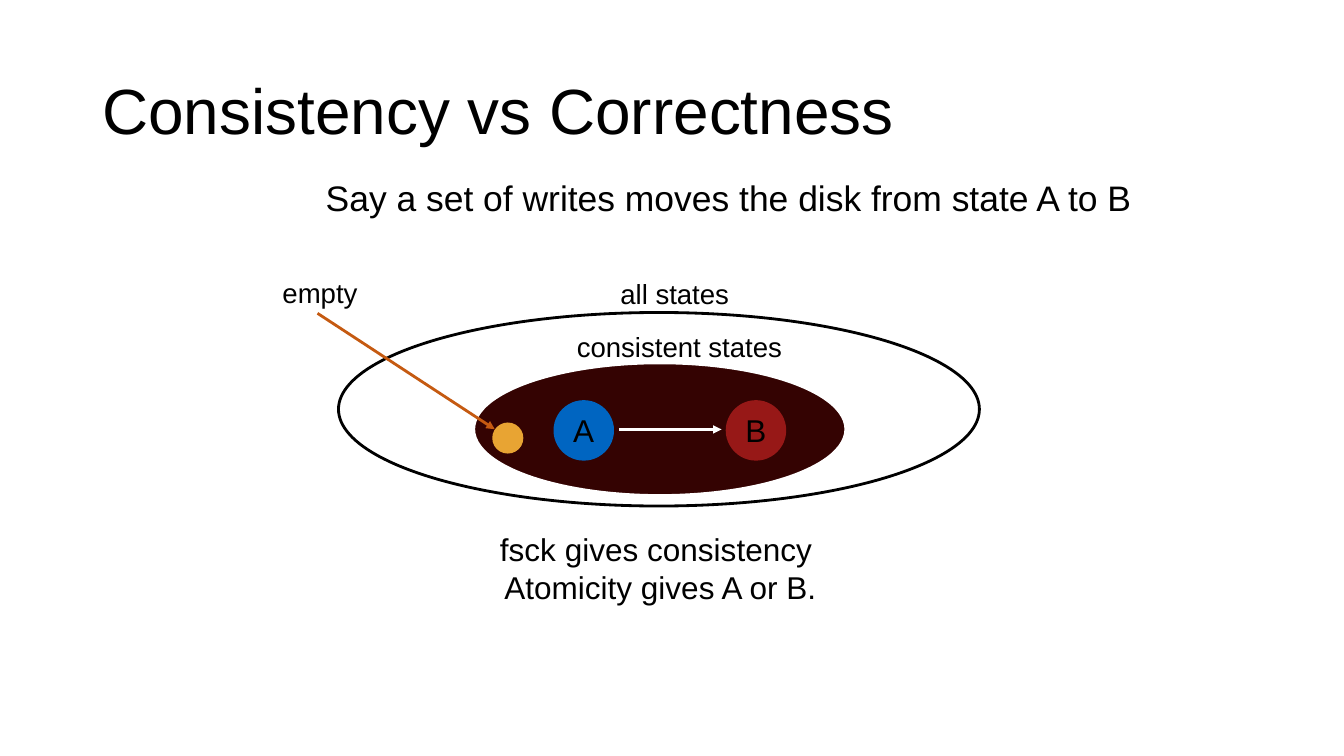
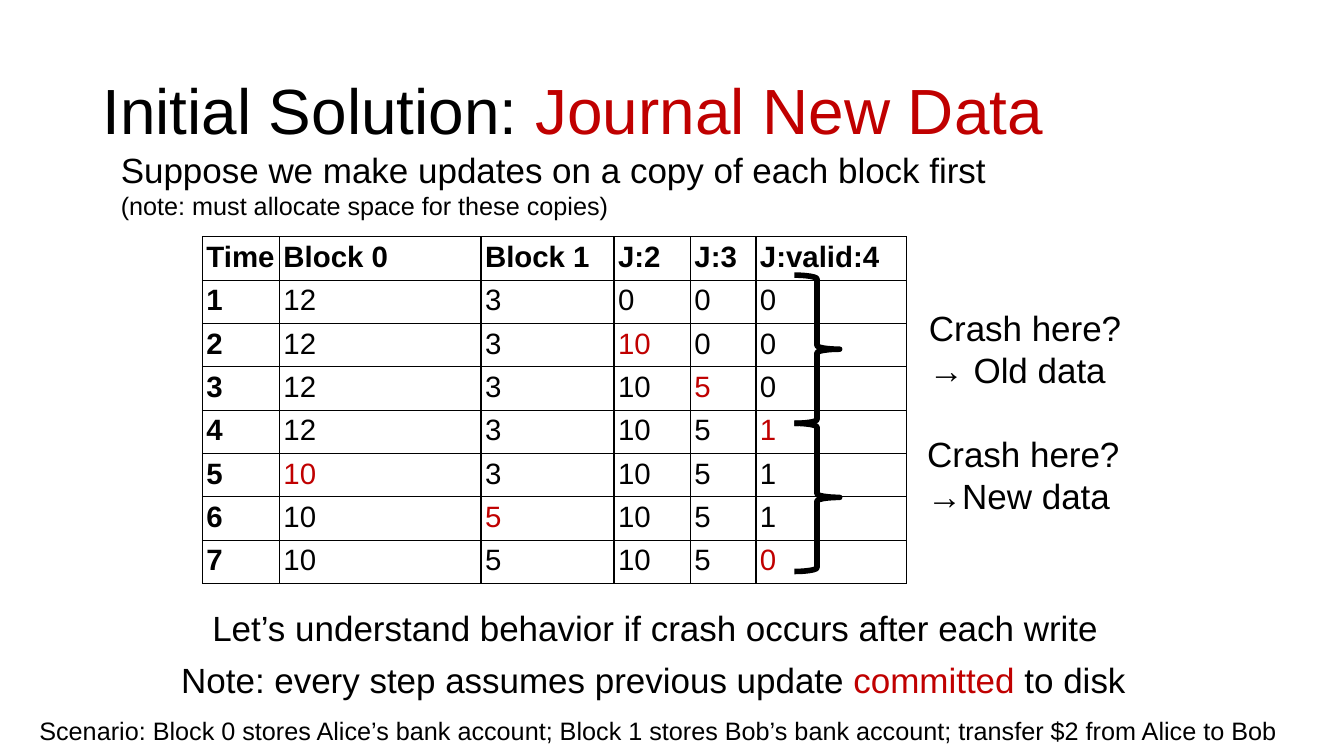
from dataclasses import dataclass
from typing import Optional

from lxml.etree import SubElement
from pptx import Presentation
from pptx.dml.color import RGBColor
from pptx.enum.shapes import MSO_CONNECTOR, MSO_SHAPE
from pptx.enum.text import MSO_ANCHOR, PP_ALIGN
from pptx.oxml.ns import qn
from pptx.util import Inches, Length, Pt

SLIDE_WIDTH, SLIDE_HEIGHT = Inches(13.33), Inches(7.5)
COLUMNS, ROWS = 160, 90
FONT = "Arial"
BLACK, WHITE, RED = "000000", "FFFFFF", "C00000"
MAROON, BLUE, BRICK, AMBER, ORANGE = "340302", "0065C1", "971817", "E8A433", "C55A11"
WIDE, NARROW = 0.1, 0.04


@dataclass(frozen=True)
class Box:
    column: float
    row: float
    columns: float
    rows: float

    def place(self) -> tuple[Length, Length, Length, Length]:
        return across(self.column), down(self.row), across(self.columns), down(self.rows)


@dataclass(frozen=True)
class Phrase:
    text: str
    color: Optional[str] = None


@dataclass(frozen=True)
class Line:
    phrases: tuple[Phrase, ...]
    size: float


@dataclass(frozen=True)
class Text:
    box: Box
    lines: tuple[Line, ...]
    align: PP_ALIGN = PP_ALIGN.LEFT
    anchor: MSO_ANCHOR = MSO_ANCHOR.TOP
    inset: float = WIDE
    wrap: bool = True
    spacing: float = 1.0


@dataclass(frozen=True)
class Figure:
    kind: MSO_SHAPE
    box: Box
    fill: Optional[str] = None
    line: Optional[str] = None
    weight: float = 2
    label: str = ""


@dataclass(frozen=True)
class Arrow:
    start: tuple[float, float]
    end: tuple[float, float]
    color: str


def across(columns: float) -> Length:
    return Length(round(SLIDE_WIDTH * columns / COLUMNS))


def down(rows: float) -> Length:
    return Length(round(SLIDE_HEIGHT * rows / ROWS))


def color_of(value: str) -> RGBColor:
    return RGBColor.from_string(value)


def line_of(text: str, size: float) -> Line:
    return Line((Phrase(text),), size)


def style_font(font, size: float, color: str = BLACK, bold: bool = False) -> None:
    font.name = FONT
    font.size = Pt(size)
    font.bold = bold
    font.color.rgb = color_of(color)


def set_insets(target, inset: float) -> None:
    target.margin_left = target.margin_right = Inches(inset)
    target.margin_top = target.margin_bottom = Inches(inset if inset < WIDE else 0.05)


def write_lines(frame, lines: tuple[Line, ...], align: PP_ALIGN, spacing: float = 1.0) -> None:
    for index, line in enumerate(lines):
        paragraph = frame.add_paragraph() if index else frame.paragraphs[0]
        paragraph.alignment = align
        paragraph.line_spacing = spacing
        style_font(paragraph.font, line.size)
        for phrase in line.phrases:
            run = paragraph.add_run()
            run.text = phrase.text
            if phrase.color:
                run.font.color.rgb = color_of(phrase.color)


def draw_text(slide, text: Text) -> None:
    frame = slide.shapes.add_textbox(*text.box.place()).text_frame
    frame.word_wrap = text.wrap
    frame.vertical_anchor = text.anchor
    set_insets(frame, text.inset)
    write_lines(frame, text.lines, text.align, text.spacing)


def draw_title(slide, *phrases: Phrase) -> None:
    draw_text(slide, Text(Box(11, 4.8, 138, 17.4), (Line(phrases, 45.6),),
                          anchor=MSO_ANCHOR.MIDDLE, spacing=0.9))


def draw_figure(slide, figure: Figure) -> None:
    shape = slide.shapes.add_shape(figure.kind, *figure.box.place())
    shape.shadow.inherit = False
    if figure.fill:
        shape.fill.solid()
        shape.fill.fore_color.rgb = color_of(figure.fill)
    else:
        shape.fill.background()
    if figure.line:
        shape.line.color.rgb = color_of(figure.line)
        shape.line.width = Pt(figure.weight)
    else:
        shape.line.fill.background()
    if figure.label:
        frame = shape.text_frame
        set_insets(frame, 0)
        frame.vertical_anchor = MSO_ANCHOR.MIDDLE
        write_lines(frame, (line_of(figure.label, 22.5),), PP_ALIGN.CENTER)


def draw_arrow(slide, arrow: Arrow) -> None:
    (column, row), (end_column, end_row) = arrow.start, arrow.end
    connector = slide.shapes.add_connector(
        MSO_CONNECTOR.STRAIGHT, across(column), down(row), across(end_column), down(end_row))
    connector.line.color.rgb = color_of(arrow.color)
    connector.line.width = Pt(2)
    properties = connector._element.spPr
    SubElement(properties.find(qn("a:ln")), qn("a:tailEnd"), type="triangle")
    SubElement(properties, qn("a:effectLst"))


def border_cell(cell) -> None:
    properties = cell._tc.get_or_add_tcPr()
    for position, side in enumerate(("a:lnL", "a:lnR", "a:lnT", "a:lnB")):
        border = SubElement(properties, qn(side), w=str(int(Pt(1))))
        SubElement(SubElement(border, qn("a:solidFill")), qn("a:srgbClr"), val=BLACK)
        properties.insert(position, border)


def draw_journal_table(slide) -> None:
    header = ("Time", "Block 0", "Block 1", "J:2", "J:3", "J:valid:4")
    steps = ((12, 3, 0, 0, 0), (12, 3, 10, 0, 0), (12, 3, 10, 5, 0), (12, 3, 10, 5, 1),
             (10, 3, 10, 5, 1), (10, 5, 10, 5, 1), (10, 5, 10, 5, 0))
    records = (header, *((time, *step) for time, step in enumerate(steps, 1)))
    widths = (9.17, 24, 15.84, 9.1, 7.8, 17.9)
    row_height = 5.16
    box = Box(24.1, 28.2, sum(widths), row_height * len(records))
    table = slide.shapes.add_table(len(records), len(header), *box.place()).table
    table.first_row = table.horz_banding = False
    for column, width in zip(table.columns, widths):
        column.width = across(width)
    for row_index, record in enumerate(records):
        table.rows[row_index].height = down(row_height)
        for column_index, value in enumerate(record):
            cell = table.cell(row_index, column_index)
            cell.fill.background()
            border_cell(cell)
            set_insets(cell, NARROW)
            heading = row_index == 0 or column_index == 0
            changed = (not heading and row_index > 1
                       and value != records[row_index - 1][column_index])
            paragraph = cell.text_frame.paragraphs[0]
            style_font(paragraph.font, 21, RED if changed else BLACK, heading)
            paragraph.add_run().text = str(value)


def build_consistency(slide) -> None:
    oval = MSO_SHAPE.OVAL
    draw_figure(slide, Figure(oval, Box(56.4, 43.2, 44.3, 15.8), MAROON, WHITE))
    draw_title(slide, Phrase("Consistency vs Correctness"))
    draw_text(slide, Text(
        Box(37.6, 20.9, 102.5, 7.2),
        (line_of("Say a set of writes moves the disk from state A to B", 25.3),), spacing=0.9))
    for label, column, fill in (("A", 65.9, BLUE), ("B", 86.4, BRICK)):
        draw_figure(slide, Figure(oval, Box(column, 47.64, 7.2, 7.2), fill, label=label))
    draw_arrow(slide, Arrow((73.7, 51.12), (85.9, 51.12), WHITE))
    draw_figure(slide, Figure(oval, Box(40.3, 37.2, 76.3, 23.04), line=BLACK))
    for label, box in (("consistent states", Box(68.04, 38.8, 25.7, 4.9)),
                       ("all states", Box(73.3, 32.5, 14.04, 4.9)),
                       ("empty", Box(33.1, 32.4, 10, 4.9))):
        draw_text(slide, Text(box, (line_of(label, 19.7),), PP_ALIGN.CENTER,
                              MSO_ANCHOR.MIDDLE, NARROW, wrap=False))
    draw_text(slide, Text(
        Box(27.4, 63.1, 102.5, 14.9),
        (line_of("fsck gives consistency ", 22.5), line_of("Atomicity gives A or B.", 22.5)),
        PP_ALIGN.CENTER, inset=0))
    draw_figure(slide, Figure(oval, Box(58.6, 50.3, 3.7, 3.7), AMBER))
    draw_arrow(slide, Arrow((37.8, 37.3), (58.9, 51.1), ORANGE))


def build_journal(slide) -> None:
    draw_title(slide, Phrase("Initial Solution: "), Phrase("Journal New Data", RED))
    draw_journal_table(slide)
    for outcome, box in (("→ Old data", Box(109.4, 35.9, 25.6, 11.3)),
                         ("→New data", Box(109.2, 50.9, 25.6, 11.3))):
        draw_text(slide, Text(
            box, (line_of("Crash here?", 25), line_of(outcome, 25)), wrap=False))
    brace_height = 17.64
    for index in range(2):
        box = Box(94.56, 32.76 + index * brace_height, 5.4, brace_height)
        draw_figure(slide, Figure(MSO_SHAPE.RIGHT_BRACE, box, line=BLACK, weight=4))
    scenario = ("Scenario: Block 0 stores Alice’s bank account; "
                "Block 1 stores Bob’s bank account; transfer $2 from Alice to Bob")
    remarks = (
        Text(Box(13.2, 17.04, 119.2, 9.84),
             (line_of("Suppose we make updates on a copy of each block first", 25),
              line_of("(note: must allocate space for these copies)", 18))),
        Text(Box(24.1, 71.64, 119.2, 6.24),
             (line_of("Let’s understand behavior if crash occurs after each write", 25),)),
        Text(Box(20.4, 77.76, 119.2, 6.24),
             (Line((Phrase("Note: every step assumes previous update "),
                    Phrase("committed ", RED), Phrase("to disk")), 25),)),
        Text(Box(3.5, 84.6, 153, 4.8), (line_of(scenario, 18),)),
    )
    for remark in remarks:
        draw_text(slide, remark)


def main() -> None:
    presentation = Presentation()
    presentation.slide_width, presentation.slide_height = SLIDE_WIDTH, SLIDE_HEIGHT
    blank = presentation.slide_layouts[6]
    for build in (build_consistency, build_journal):
        build(presentation.slides.add_slide(blank))
    presentation.save("out.pptx")


if __name__ == "__main__":
    main()
